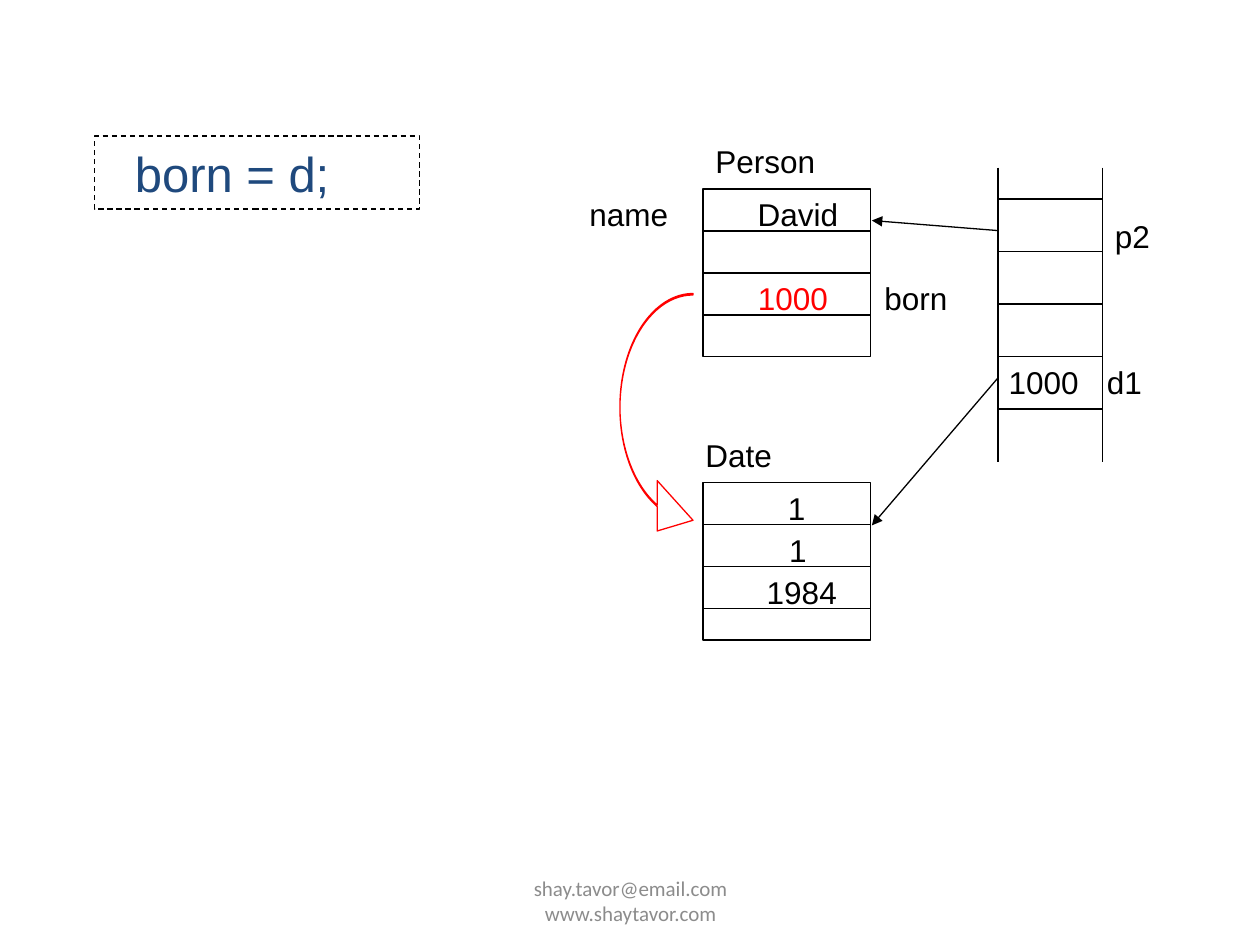
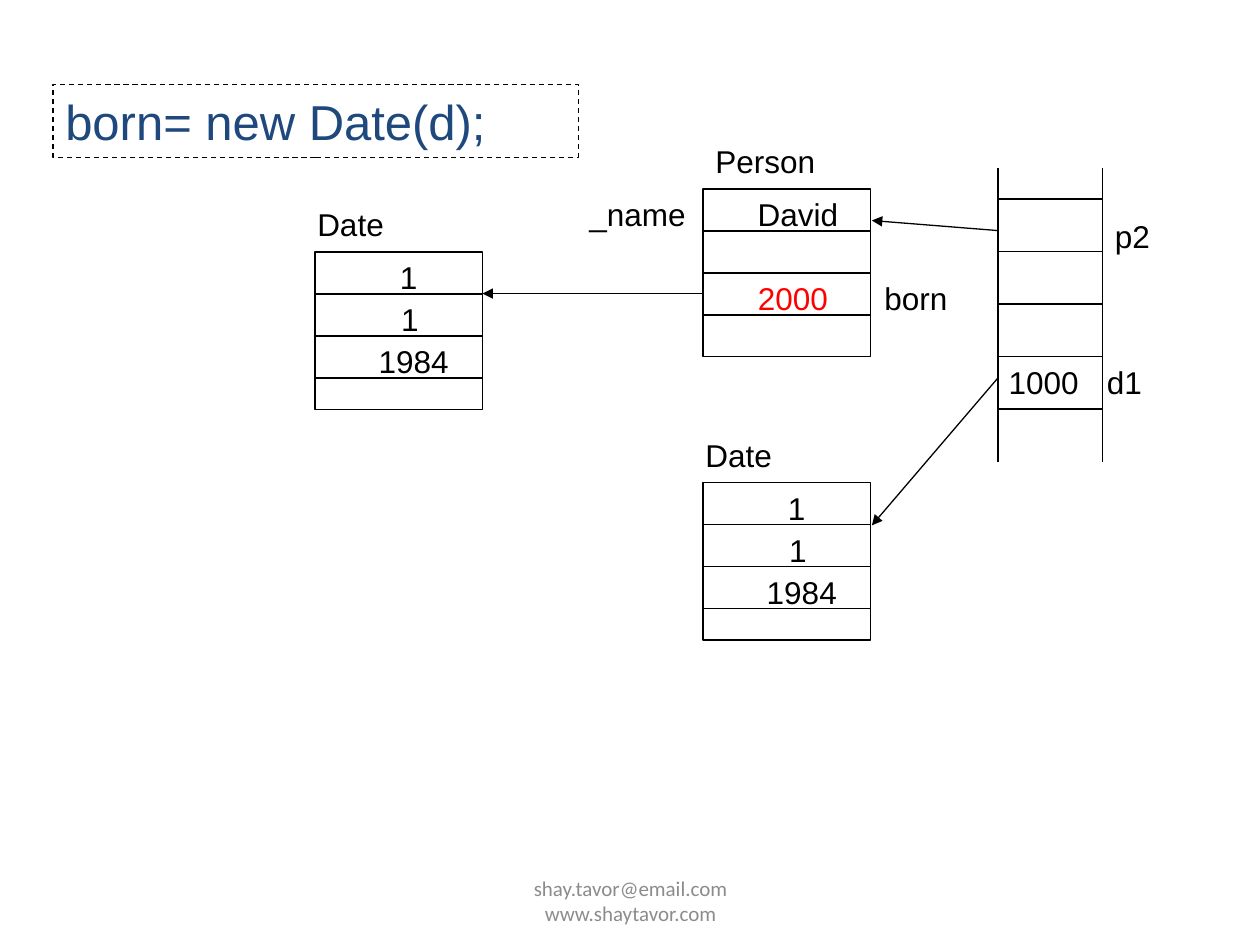
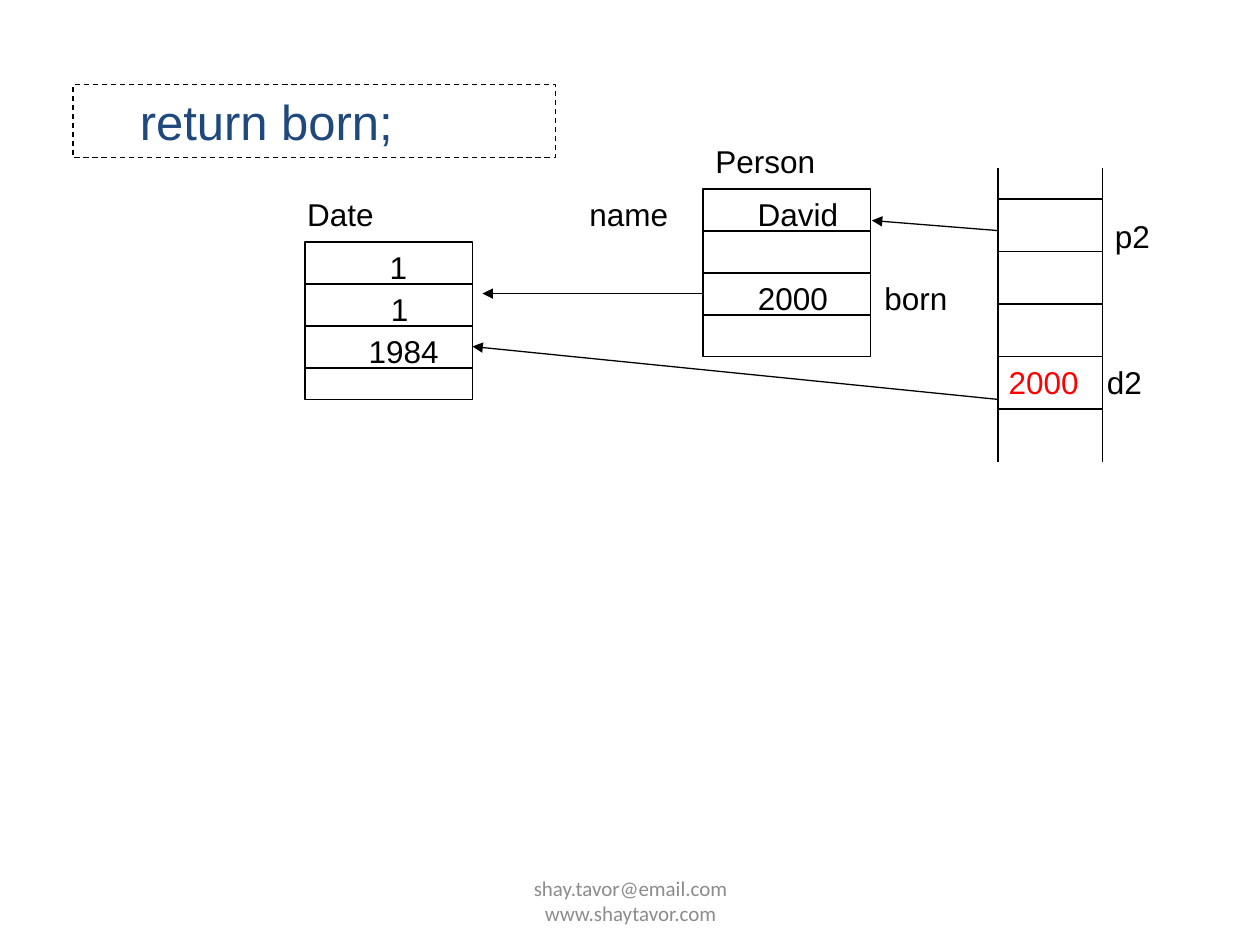
from lxml.etree import SubElement
from pptx import Presentation
from pptx.dml.color import RGBColor
from pptx.enum.dml import MSO_LINE
from pptx.enum.shapes import MSO_CONNECTOR, MSO_SHAPE
from pptx.enum.text import MSO_ANCHOR, PP_ALIGN
from pptx.oxml.ns import qn
from pptx.util import Inches, Pt

COLORS = {"ink": "000000", "code": "1F497D", "changed": "FF0000", "footer": "8C8C8C"}
FOOTER = "shay.tavor@email.com\vwww.shaytavor.com"
RECORD_WIDTH = 1.33
RECORD_ROW = 1 / 3
LABEL_HEIGHT = 0.4
STACK_LEFT, STACK_RIGHT = 7.92, 8.75
STACK_TOP, STACK_BOTTOM = 1.33, 3.67
STACK_FIRST_LINE, STACK_ROW = 1.58, 5 / 12
PERSON_LEFT, PERSON_TOP = 5.58, 1.5


class MemoryDiagram:
    """Holds the shared style and the slide being drawn."""

    def __init__(self):
        self.deck = Presentation()
        self.deck.slide_width, self.deck.slide_height = Inches(10), Inches(7.5)
        self.slide = None

    def new_slide(self):
        self.slide = self.deck.slides.add_slide(self.deck.slide_layouts[6])
        footer = self.label(FOOTER, 3.42, 6.95, 3.17, "footer", PP_ALIGN.CENTER, 12, "Calibri")
        footer.text_frame.vertical_anchor = MSO_ANCHOR.MIDDLE

    def fill_text(self, frame, text, size, color, align=PP_ALIGN.LEFT, font="Arial"):
        frame.word_wrap = True
        frame.text = text
        paragraph = frame.paragraphs[0]
        paragraph.alignment = align
        for run in paragraph.runs:
            run.font.size = Pt(size)
            run.font.name = font
            run.font.color.rgb = RGBColor.from_string(COLORS[color])

    def label(self, text, left, top, width, color="ink", align=PP_ALIGN.LEFT,
              size=18, font="Arial"):
        box = self.slide.shapes.add_textbox(
            Inches(left), Inches(top), Inches(width), Inches(LABEL_HEIGHT))
        self.fill_text(box.text_frame, text, size, color, align, font)
        return box

    def value(self, text, left, top, width, color="ink"):
        self.label(text, left, top, width, color, PP_ALIGN.RIGHT)

    def outline(self, kind, left, top, width, height, color="ink"):
        shape = self.slide.shapes.add_shape(
            kind, Inches(left), Inches(top), Inches(width), Inches(height))
        shape.shadow.inherit = False
        shape.fill.background()
        shape.line.color.rgb = RGBColor.from_string(COLORS[color])
        shape.line.width = Pt(0.75)
        return shape

    def line(self, x1, y1, x2, y2, arrow=False):
        connector = self.slide.shapes.add_connector(
            MSO_CONNECTOR.STRAIGHT, Inches(x1), Inches(y1), Inches(x2), Inches(y2))
        connector.line.color.rgb = RGBColor.from_string(COLORS["ink"])
        connector.line.width = Pt(0.75)
        properties = connector._element.spPr
        if arrow:
            SubElement(properties.find(qn("a:ln")), qn("a:tailEnd"), type="triangle")
        SubElement(properties, qn("a:effectLst"))

    def code(self, text, left, top, width, indent=0):
        box = self.outline(MSO_SHAPE.RECTANGLE, left, top, width, 0.58)
        box.line.dash_style = MSO_LINE.DASH
        box.text_frame.margin_left = Inches(0.1 + indent)
        self.fill_text(box.text_frame, text, 28, "code")

    def record(self, left, top, height):
        """Draws an object as a box cut into four rows."""
        self.outline(MSO_SHAPE.RECTANGLE, left, top, RECORD_WIDTH, height)
        for row in range(1, 4):
            y = top + row * RECORD_ROW
            self.line(left, y, left + RECORD_WIDTH, y)

    def date(self, left, top):
        self.record(left, top, 1.25)
        self.label("Date", left - 0.08, top - 0.42, RECORD_WIDTH)
        fields = [("1", 0.33, 0.58), ("1", 0.42, 0.5), ("1984", 0.33, 0.83)]
        for row, (text, offset, width) in enumerate(fields):
            self.value(text, left + offset, top + row * RECORD_ROW, width)

    def person(self, name_label, born, born_color):
        self.record(PERSON_LEFT, PERSON_TOP, 1.33)
        self.label("Person", PERSON_LEFT, PERSON_TOP - 0.42, RECORD_WIDTH)
        self.label(name_label, PERSON_LEFT - 1, PERSON_TOP, 1)
        self.value("David", 5.83, PERSON_TOP, 0.92)
        born_top = PERSON_TOP + 2 * RECORD_ROW
        self.value(born, 5.5, born_top, 1.17, born_color)
        self.label("born", 6.92, born_top, 1.08)

    def stack(self, variable, address, address_color):
        """Draws the call stack with p2 and one date variable."""
        for x in (STACK_RIGHT, STACK_LEFT):
            self.line(x, STACK_TOP, x, STACK_BOTTOM)
        for row in range(5):
            y = STACK_FIRST_LINE + row * STACK_ROW
            self.line(STACK_LEFT, y, STACK_RIGHT, y)
        self.label("p2", STACK_RIGHT, 1.67, 0.58)
        self.line(STACK_LEFT, 1.83, 6.92, 1.75, arrow=True)
        self.value(variable, 8.58, 2.83, 0.58)
        self.value(address, 7.83, 2.83, 0.83, address_color)

    def argument_date(self):
        """Draws the date that d1 refers to."""
        self.date(PERSON_LEFT, 3.83)
        self.line(STACK_LEFT, 3, 6.92, 4.17, arrow=True)

    def born_arrow(self):
        self.line(PERSON_LEFT, 2.33, 3.83, 2.33, arrow=True)

    def shared_reference(self):
        """Draws the curved arrow from born to the argument date."""
        curve = self.outline(MSO_SHAPE.CURVED_RIGHT_ARROW, 4.92, 2.33, 0.58, 2, "changed")
        for index, amount in enumerate((0.02, 0.69, 0.49)):
            curve.adjustments[index] = amount


def main():
    diagram = MemoryDiagram()

    diagram.new_slide()
    diagram.stack("d1", "1000", "ink")
    diagram.person("name", "1000", "changed")
    diagram.argument_date()
    diagram.code("born = d;", 0.75, 1.08, 2.58, indent=0.22)
    diagram.shared_reference()

    diagram.new_slide()
    diagram.stack("d1", "1000", "ink")
    diagram.person("_name", "2000", "changed")
    diagram.argument_date()
    diagram.code("born= new Date(d);", 0.42, 0.67, 4.17)
    diagram.born_arrow()
    diagram.date(2.5, 2)

    diagram.new_slide()
    diagram.stack("d2", "2000", "changed")
    diagram.person("name", "2000", "ink")
    diagram.code("return born;", 0.58, 0.67, 3.83, indent=0.43)
    diagram.date(2.42, 1.92)
    diagram.born_arrow()
    diagram.line(STACK_LEFT, 3.17, 3.75, 2.75, arrow=True)

    diagram.deck.save("out.pptx")


if __name__ == "__main__":
    main()
